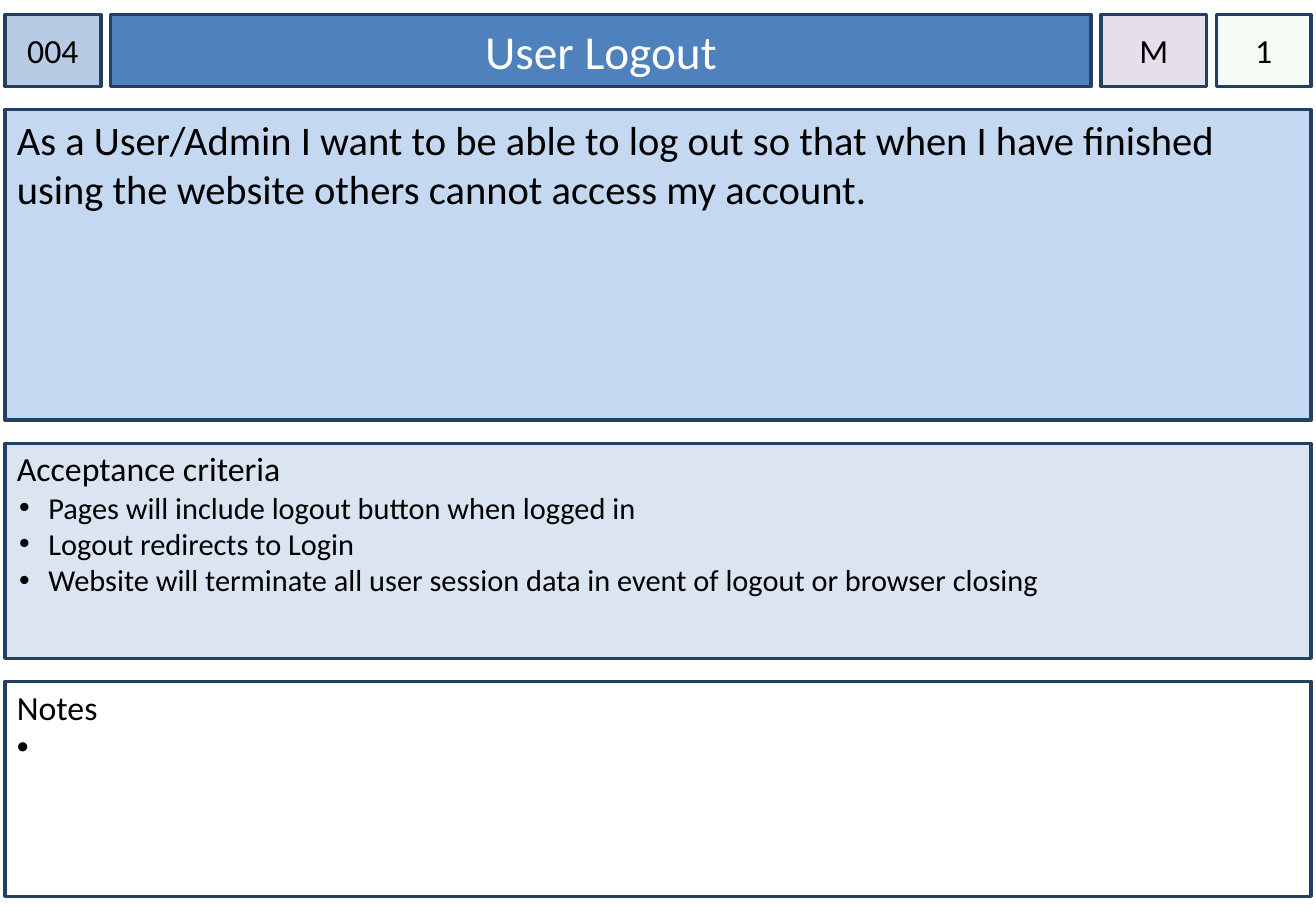
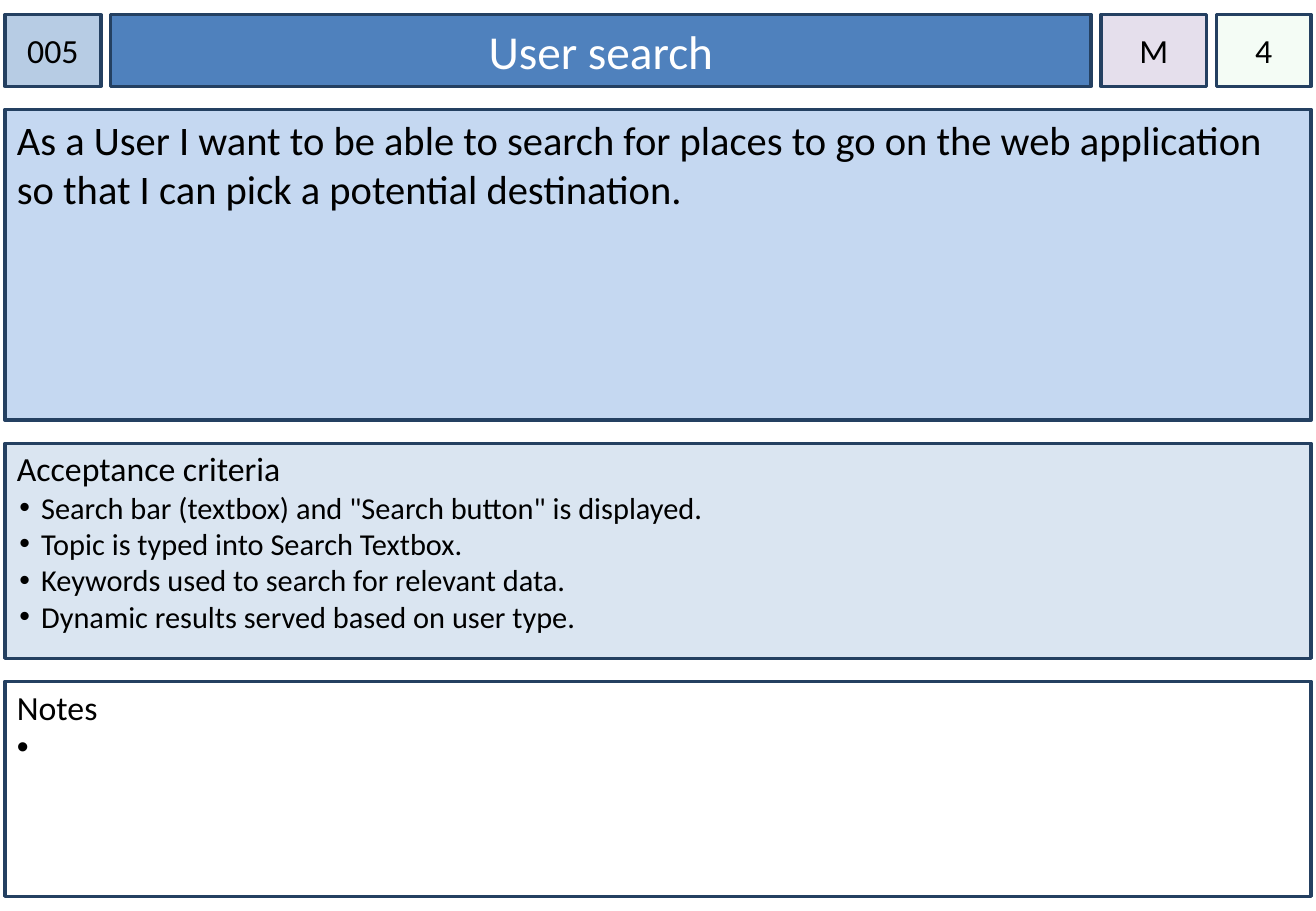
from dataclasses import dataclass

from lxml import etree
from pptx import Presentation
from pptx.dml.color import RGBColor
from pptx.enum import shapes, text
from pptx.oxml import ns
from pptx.util import Inches, Pt


@dataclass(frozen=True)
class Theme:
    font: str = "Calibri"
    ink: str = "000000"
    title_ink: str = "FFFFFF"
    border: str = "244061"
    number_fill: str = "B7CCE4"
    title_fill: str = "4F81BD"
    priority_fill: str = "E5DFEC"
    estimate_fill: str = "CCF0CD"
    estimate_opacity: int = 20
    story_fill: str = "C5D8F1"
    criteria_fill: str = "DAE5F1"
    remarks_fill: str = "FFFFFF"
    border_width: float = 2
    title_size: int = 28
    story_size: int = 24
    heading_size: int = 20
    bullet_size: int = 18


@dataclass(frozen=True)
class Story:
    number: str
    title: str
    priority: str
    estimate: str
    sentence: str
    criteria: tuple
    criteria_indent: float


THEME = Theme()

# Card grid, in inches
LEFT, TOP, CARD_WIDTH = 0.04, 0.12, 10.75
COLUMN_GAP, ROW_GAP = 0.08, 0.19
HEADER_HEIGHT, STORY_HEIGHT, LIST_HEIGHT = 0.59, 2.56, 1.77
NUMBER_WIDTH, TITLE_WIDTH, PRIORITY_WIDTH = 0.79, 8.07, 0.87
BULLET_START = 0.02

STORIES = (
    Story(
        "004", "User Logout", "M", "1",
        "As a User/Admin I want to be able to log out so that when I have "
        "finished using the website others cannot access my account.",
        ("Pages will include logout button when logged in",
         "Logout redirects to Login",
         "Website will terminate all user session data in event of logout "
         "or browser closing"),
        0.26,
    ),
    Story(
        "005", "User search", "M", "4",
        "As a User I want to be able to search for places to go on the web "
        "application so that I can pick a potential destination.",
        ('Search bar (textbox) and "Search button" is displayed.',
         "Topic is typed into Search Textbox.",
         "Keywords used to search for relevant data.",
         "Dynamic results served based on user type."),
        0.2,
    ),
)


def add_box(slide, left, top, width, height, fill):
    """Add a bordered rectangle with top-anchored, wrapping text."""
    box = slide.shapes.add_shape(
        shapes.MSO_SHAPE.RECTANGLE,
        Inches(left), Inches(top), Inches(width), Inches(height))
    box.shadow.inherit = False
    box.fill.solid()
    box.fill.fore_color.rgb = RGBColor.from_string(fill)
    box.line.color.rgb = RGBColor.from_string(THEME.border)
    box.line.width = Pt(THEME.border_width)
    box.text_frame.word_wrap = True
    box.text_frame.vertical_anchor = text.MSO_ANCHOR.TOP
    return box


def write(paragraph, words, size, color=THEME.ink, align=text.PP_ALIGN.LEFT):
    paragraph.text = words
    paragraph.alignment = align
    paragraph.font.name = THEME.font
    paragraph.font.size = Pt(size)
    paragraph.font.color.rgb = RGBColor.from_string(color)


def set_bullet(paragraph, indent, bullet_start):
    properties = paragraph._p.get_or_add_pPr()
    properties.set("marL", str(Inches(indent)))
    properties.set("indent", str(Inches(bullet_start - indent)))
    # Bullet settings come before the paragraph's default run properties
    color = etree.Element(ns.qn("a:buClr"))
    etree.SubElement(color, ns.qn("a:srgbClr"), val=THEME.ink)
    typeface = etree.Element(ns.qn("a:buFont"), typeface="Arial")
    character = etree.Element(ns.qn("a:buChar"), char="•")
    for position, element in enumerate((color, typeface, character)):
        properties.insert(position, element)


def set_opacity(shape, percent):
    color = shape._element.spPr.find(ns.qn("a:solidFill"))[0]
    etree.SubElement(color, ns.qn("a:alpha"), val=str(percent * 1000))


def add_header(slide, story):
    """Lay out number, title, priority and estimate from left to right."""
    estimate_width = (CARD_WIDTH - NUMBER_WIDTH - TITLE_WIDTH
                      - PRIORITY_WIDTH - 3 * COLUMN_GAP)
    small = (THEME.heading_size, THEME.ink, 0)
    cells = (
        (story.number, NUMBER_WIDTH, THEME.number_fill, *small),
        (story.title, TITLE_WIDTH, THEME.title_fill,
         THEME.title_size, THEME.title_ink, 0.1),
        (story.priority, PRIORITY_WIDTH, THEME.priority_fill, *small),
        (story.estimate, estimate_width, THEME.estimate_fill, *small),
    )
    left = LEFT
    for words, width, fill, size, color, margin in cells:
        box = add_box(slide, left, TOP, width, HEADER_HEIGHT, fill)
        frame = box.text_frame
        frame.vertical_anchor = text.MSO_ANCHOR.MIDDLE
        frame.margin_left = frame.margin_right = Inches(margin)
        write(frame.paragraphs[0], words, size, color, text.PP_ALIGN.CENTER)
        left += width + COLUMN_GAP
    set_opacity(box, THEME.estimate_opacity)  # the estimate is the last cell


def add_list_panel(slide, top, fill, heading, items, size, indent, bullet_start):
    box = add_box(slide, LEFT, top, CARD_WIDTH, LIST_HEIGHT, fill)
    frame = box.text_frame
    frame.margin_top = Inches(0.04)
    write(frame.paragraphs[0], heading, THEME.heading_size)
    for item in items:
        paragraph = frame.add_paragraph()
        write(paragraph, item, size)
        set_bullet(paragraph, indent, bullet_start)


def add_story_card(presentation, story):
    slide = presentation.slides.add_slide(presentation.slide_layouts[6])
    add_header(slide, story)

    # User story
    top = TOP + HEADER_HEIGHT + ROW_GAP
    box = add_box(slide, LEFT, top, CARD_WIDTH, STORY_HEIGHT, THEME.story_fill)
    write(box.text_frame.paragraphs[0], story.sentence, THEME.story_size)

    # Acceptance criteria
    top += STORY_HEIGHT + ROW_GAP
    add_list_panel(slide, top, THEME.criteria_fill, "Acceptance criteria",
                   story.criteria, THEME.bullet_size,
                   story.criteria_indent, BULLET_START)

    # Remarks: one open bullet, which needs a space to be drawn
    top += LIST_HEIGHT + ROW_GAP
    add_list_panel(slide, top, THEME.remarks_fill, "Notes", (" ",),
                   THEME.heading_size, 0.2, 0)


def main():
    presentation = Presentation()
    presentation.slide_width = Inches(10.83)
    presentation.slide_height = Inches(7.5)
    for story in STORIES:
        add_story_card(presentation, story)
    presentation.save("out.pptx")


if __name__ == "__main__":
    main()
